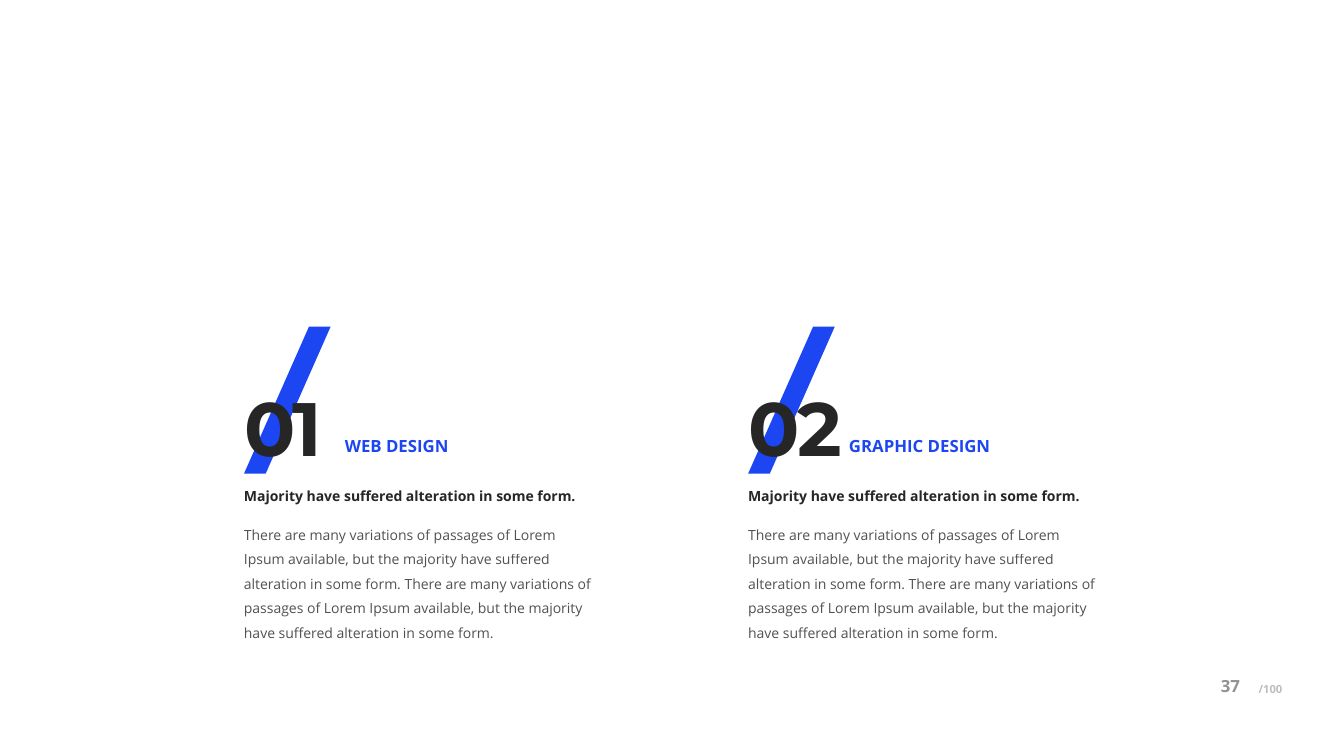
from pptx import Presentation
from pptx.dml.color import RGBColor
from pptx.enum.shapes import MSO_SHAPE
from pptx.enum.text import MSO_ANCHOR, PP_ALIGN
from pptx.oxml.ns import qn
from pptx.util import Inches, Pt
from lxml import etree

SLASH = MSO_SHAPE.PARALLELOGRAM
MIDDLE, TOP = MSO_ANCHOR.MIDDLE, MSO_ANCHOR.TOP
RIGHT = PP_ALIGN.RIGHT

COLORS = {"ink": "262626", "blue": "1D46F3"}
BODY = "Open Sans"
LEAD = "Majority have suffered alteration in some form."
COPY = (
    "There are many variations of passages of Lorem Ipsum available, "
    "but the majority have suffered alteration in some form. "
    "There are many variations of passages of Lorem Ipsum available, "
    "but the majority have suffered alteration in some form."
)
# number, title, title width
ITEMS = [("01", "WEB DESIGN", 1.04), ("02", "GRAPHIC DESIGN", 1.42)]
PAGE, TOTAL = "37", "/100"
LEFT, STEP = 2.42, 5


def add_text(slide, box, text, size, color="ink", font=BODY, bold=True,
             alpha=None, line=None, inset=0.05, wrap=True):
    """Add a one-paragraph text box; alpha is the opacity in percent."""
    shape = slide.shapes.add_textbox(*map(Inches, box))
    frame = shape.text_frame
    frame.word_wrap = wrap
    frame.margin_left = frame.margin_right = 0
    frame.margin_top = frame.margin_bottom = Inches(inset)
    frame.vertical_anchor = TOP
    para = frame.paragraphs[0]
    para.text = text
    para.line_spacing = line
    para.font.name = font
    para.font.size = Pt(size)
    para.font.bold = bold
    para.font.color.rgb = RGBColor.from_string(COLORS[color])
    if alpha:
        tint = para.font.fill._xPr.find(".//" + qn("a:srgbClr"))
        etree.SubElement(tint, qn("a:alpha"), val=str(alpha * 1000))
    return frame


def add_item(slide, left, number, title, width):
    add_text(slide, (left, 5.1, 3.46, 1.3), COPY, 10,
             bold=False, alpha=80, line=1.45)
    add_text(slide, (left, 4.74, 3.46, 0.35), LEAD, 10, line=1.3)
    add_text(slide, (left + 1, 4.27, width, 0.3), title, 12, "blue", wrap=False)

    slash = slide.shapes.add_shape(
        SLASH, *map(Inches, (left, 3.24, 0.86, 1.46)))
    slash.adjustments[0] = 0.75
    slash.shadow.inherit = False
    slash.fill.solid()
    slash.fill.fore_color.rgb = RGBColor.from_string(COLORS["blue"])
    slash.line.fill.background()

    frame = add_text(slide, (left, 3.9, 1.31, 0.74), number, 54,
                     font="Montserrat", line=0.8)
    run = frame.paragraphs[0].runs[0]
    run.font._element.set("spc", "-150")


def add_pager(slide):
    total = add_text(slide, (12.16, 6.71, 0.56, 0.25), TOTAL, 8,
                     alpha=30, inset=0)
    total.paragraphs[0].alignment = RIGHT
    page = add_text(slide, (12.11, 6.68, 0.56, 0.25), PAGE, 12,
                    alpha=50, inset=0)
    for frame in (total, page):
        frame.vertical_anchor = MIDDLE


def main():
    deck = Presentation()
    deck.slide_width, deck.slide_height = Inches(13.33), Inches(7.5)
    slide = deck.slides.add_slide(deck.slide_layouts[6])
    add_pager(slide)
    for index, item in enumerate(ITEMS):
        add_item(slide, LEFT + index * STEP, *item)
    deck.save("out.pptx")


if __name__ == "__main__":
    main()
